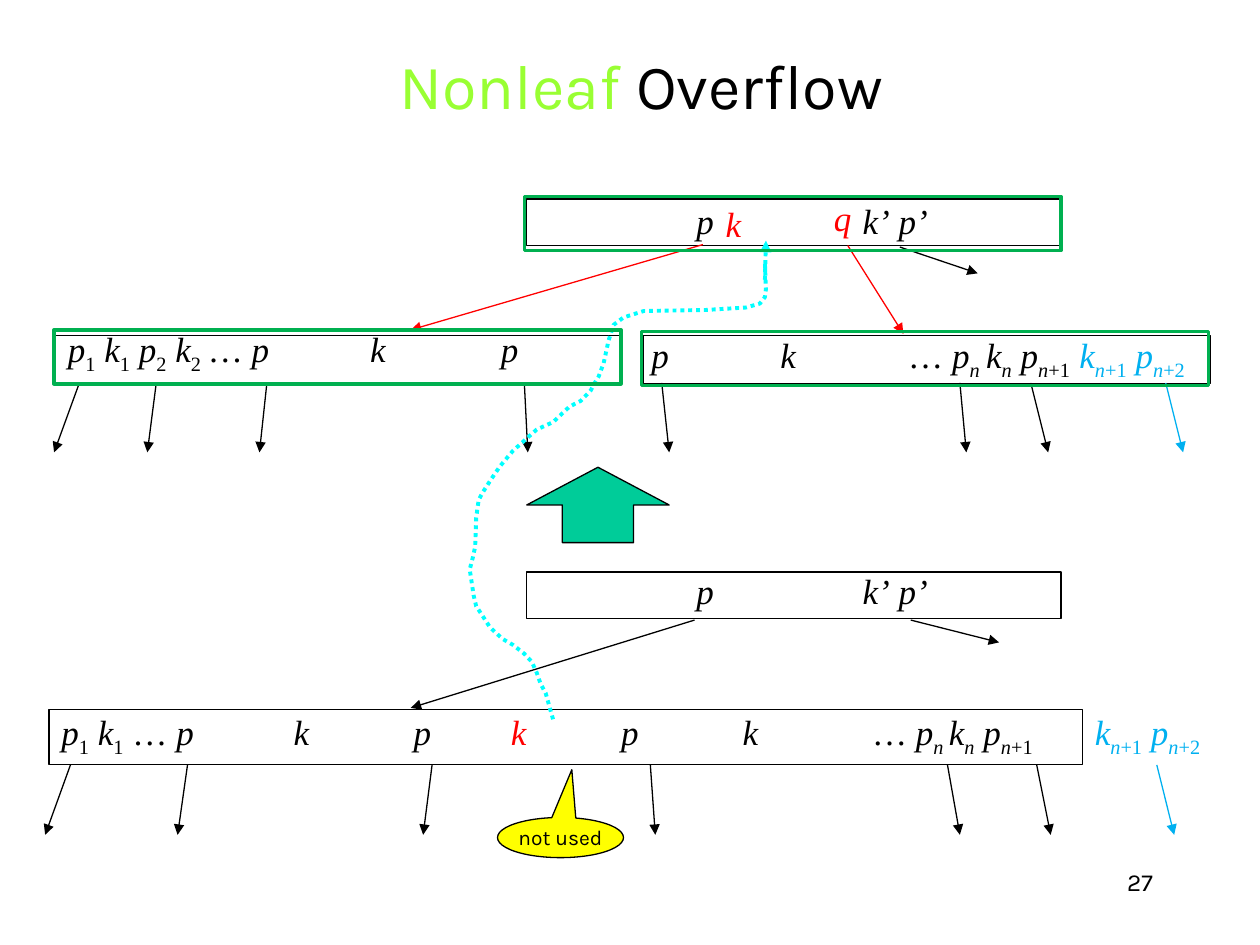
from dataclasses import dataclass
from typing import NamedTuple

from lxml.etree import SubElement
from pptx import Presentation
from pptx.dml.color import RGBColor
from pptx.enum.dml import MSO_LINE
from pptx.enum.shapes import MSO_CONNECTOR, MSO_SHAPE as Shape
from pptx.enum.text import MSO_ANCHOR as Anchor, MSO_AUTO_SIZE, PP_ALIGN as Align
from pptx.oxml.ns import qn
from pptx.util import Cm, Pt


@dataclass(frozen=True)
class Theme:
    ink: str = "000000"
    paper: str = "FFFFFF"
    red: str = "FF0000"
    blue: str = "00B0F0"
    green: str = "00B050"
    lime: str = "99FF33"
    teal: str = "00CC99"
    yellow: str = "FFFF00"
    cyan: str = "00FFFF"
    sans: str = "Karla"
    serif: str = "Times New Roman"
    title: float = 36
    label: float = 20
    number: float = 14
    note: float = 12
    thin: float = 0.75
    frame: float = 2
    dots: float = 2.25


T = Theme()


class Box(NamedTuple):
    x: float
    y: float
    w: float
    h: float


class Keys(NamedTuple):
    """Keys and pointers of a node; tabs mark the wide gaps, _ marks an index."""
    text: str
    color: str = T.ink


class Row(NamedTuple):
    box: Box
    keys: list[Keys]
    stops: tuple[float, ...] = ()
    wrap: bool = True


class Arrow(NamedTuple):
    x1: float
    y1: float
    x2: float
    y2: float
    color: str = T.ink


def style_line(line, color: str, width: float, dotted: bool = False) -> None:
    line.color.rgb = RGBColor.from_string(color)
    line.width = Pt(width)
    if dotted:
        line.dash_style = MSO_LINE.ROUND_DOT


def add_shape(s, kind, box: Box, fill: str = "", line: str = T.ink, width: float = T.thin):
    sp = s.shapes.add_shape(kind, *map(Cm, box))
    sp.shadow.inherit = False
    if fill:
        sp.fill.solid()
        sp.fill.fore_color.rgb = RGBColor.from_string(fill)
    else:
        sp.fill.background()
    style_line(sp.line, line, width)
    return sp


def add_arrow(s, a: Arrow, width: float = T.thin, dotted: bool = False) -> None:
    c = s.shapes.add_connector(MSO_CONNECTOR.STRAIGHT, *map(Cm, a[:4]))
    style_line(c.line, a.color, width, dotted)
    props = c._element.spPr
    SubElement(props.find(qn("a:ln")), qn("a:tailEnd"), type="triangle")
    SubElement(props, qn("a:effectLst"))


def add_run(p, text: str, color: str, size: float, font: str = T.sans,
            italic: bool = False, sub: bool = False) -> None:
    r = p.add_run()
    r.text = text
    r.font.name, r.font.size, r.font.italic = font, Pt(size), italic
    r.font.color.rgb = RGBColor.from_string(color)
    if sub:
        r.font._element.set("baseline", "-25000")


def add_term(p, term: str, color: str) -> None:
    name, _, index = term.partition("_")
    add_run(p, name, color, T.label, T.serif, italic=name != "…")
    letter, plus, digit = index.partition("+")
    for text in filter(None, (letter, plus + digit)):
        add_run(p, text, color, T.label, T.serif, italic=text.isalpha(), sub=True)


def add_text_box(s, box: Box, wrap: bool = True):
    tf = s.shapes.add_textbox(*map(Cm, box)).text_frame
    tf.word_wrap = wrap
    return tf.paragraphs[0]


def add_row(s, row: Row) -> None:
    p = add_text_box(s, row.box, row.wrap)
    if row.stops:
        tabs = SubElement(p._p.get_or_add_pPr(), qn("a:tabLst"))
        for stop in row.stops:
            SubElement(tabs, qn("a:tab"), pos=str(Cm(stop)), algn="l")
    for text, color in row.keys:
        for i, group in enumerate(text.split("\t")):
            if i:
                add_run(p, "\t", color, T.label, T.serif)
            for j, term in enumerate(group.split()):
                if j:
                    add_run(p, " ", color, T.label, T.serif)
                add_term(p, term, color)


def add_curve(s, points: list[tuple[float, float]]) -> None:
    start, *rest = [(Cm(x), Cm(y)) for x, y in points]
    fb = s.shapes.build_freeform(*start)
    fb.add_line_segments(rest, close=False)
    sp = fb.convert_to_shape()
    sp.shadow.inherit = False
    sp.fill.background()
    style_line(sp.line, T.cyan, T.dots, dotted=True)


NODES = [Box(1.09, 6.76, 11.43, 0.97), Box(12.98, 6.76, 11.43, 0.97),
         Box(10.62, 4.01, 10.77, 0.94), Box(10.62, 11.53, 10.77, 0.94),
         Box(0.99, 14.3, 20.83, 1.12)]
FRAMES = [Box(1.09, 6.65, 11.43, 1.09), Box(12.93, 6.68, 11.43, 1.09),
          Box(10.57, 3.96, 10.82, 1.09)]
PARENT = [Keys("p\tk’ p’")]
EXTRA = Keys("k_n+1 p_n+2", T.blue)
ROWS = [
    Row(Box(1.12, 6.48, 10.69, 1.11), [Keys("p_1 k_1 p_2 k_2\t… p\tk\tp")], (2.82, 6.09, 8.73)),
    Row(Box(12.88, 6.6, 12.09, 1.11),
        [Keys("p\tk\t… p_n\tk_n p_n+1\t"), EXTRA], (2.6, 5.18, 6.75, 8.63)),
    Row(Box(13.79, 3.89, 5.31, 1.11), PARENT, (3.35,)),
    Row(Box(13.79, 11.35, 5.31, 1.11), PARENT, (3.35,)),
    Row(Box(14.38, 3.96, 0.89, 1.11), [Keys("k", T.red)]),
    Row(Box(16.56, 3.84, 0.86, 1.11), [Keys("q", T.red)], wrap=False),
    Row(Box(0.99, 14.2, 21.01, 1.11),
        [Keys("p_1 k_1 … p\tk\tp\t"), Keys("k", T.red), Keys("\tp\tk\t… p_n\tk_n p_n+1")],
        (4.68, 7.1, 9.06, 11.28, 13.73, 16.34, 17.89)),
    Row(Box(21.82, 14.2, 2.9, 1.11), [EXTRA], wrap=False),
]
# Child pointers: start and end x; the last of each level is the new one
UPPER = [(1.6, 1.09), (3.15, 2.97), (5.38, 5.23), (10.57, 10.64), (13.34, 13.49),
         (19.35, 19.48), (20.78, 21.13), (23.5, 23.85)]
LOWER = [(1.42, 0.91), (3.78, 3.58), (8.71, 8.53), (13.11, 13.21), (19.1, 19.35),
         (20.9, 21.18), (23.32, 23.67)]
PARENT_ARROWS = [
    Arrow(14.17, 4.93, 8.28, 6.65, T.red), Arrow(17.09, 4.95, 18.21, 6.73, T.red),
    Arrow(18.14, 4.98, 19.71, 5.51), Arrow(14, 12.5, 8.28, 14.27),
    Arrow(18.36, 12.5, 20.14, 12.95)]
KEY_ROUTE = [
    (11.15, 14.5), (11.07, 14.22), (11, 13.97), (10.9, 13.79), (10.82, 13.56), (10.72, 13.34),
    (10.57, 13.18), (10.34, 13), (10.13, 12.88), (9.88, 12.65), (9.7, 12.37), (9.6, 12.22),
    (9.55, 12.01), (9.47, 11.48), (9.53, 11.25), (9.58, 11.02), (9.6, 10.44), (9.65, 10.08),
    (9.73, 9.93), (9.91, 9.65), (10.08, 9.4), (10.34, 9.09), (10.62, 8.84), (10.82, 8.66),
    (11.15, 8.51), (11.48, 8.2), (11.71, 8.08), (11.91, 7.87), (11.99, 7.72), (12.07, 7.59),
    (12.17, 7.32), (12.27, 6.86), (12.32, 6.71), (12.37, 6.55), (12.57, 6.4), (12.98, 6.27),
    (14.22, 6.25), (15.04, 6.2), (15.32, 6.12), (15.42, 5.99), (15.44, 5.84), (15.42, 5.28)]


def main() -> None:
    prs = Presentation()
    prs.slide_width, prs.slide_height = Cm(25.4), Cm(19.05)
    s = prs.slides.add_slide(prs.slide_layouts[5])

    # Title
    title = s.shapes.title
    title.left, title.top, title.width, title.height = map(Cm, (7.8, 0.66, 10.57, 1.65))
    tf = title.text_frame
    tf.auto_size, tf.word_wrap = MSO_AUTO_SIZE.NONE, True
    tf.vertical_anchor, tf.margin_top = Anchor.TOP, Cm(0.28)
    p = tf.paragraphs[0]
    p.alignment = Align.LEFT
    add_run(p, "Nonleaf", T.lime, T.title)
    add_run(p, " Overflow", T.ink, T.title)

    # Nodes with their keys and pointers
    for box in NODES:
        add_shape(s, Shape.RECTANGLE, box, T.paper)
    for row in ROWS:
        add_row(s, row)

    # Pointers to child nodes
    for xs, y1, y2 in ((UPPER, 7.72, 9.12), (LOWER, 15.42, 16.83)):
        for x1, x2 in xs:
            color = T.blue if (x1, x2) == xs[-1] else T.ink
            add_arrow(s, Arrow(x1, y1, x2, y2, color))
    for arrow in PARENT_ARROWS:
        add_arrow(s, arrow)

    # Split step and the way of the middle key
    add_shape(s, Shape.UP_ARROW, Box(10.62, 9.42, 2.87, 1.52), T.teal)
    add_curve(s, KEY_ROUTE)
    add_arrow(s, Arrow(15.42, 5.64, 15.44, 4.85, T.cyan), T.dots, dotted=True)
    for box in FRAMES:
        add_shape(s, Shape.RECTANGLE, box, line=T.green, width=T.frame)

    # Callout
    sp = add_shape(s, Shape.OVAL_CALLOUT, Box(10.03, 16.48, 2.54, 0.81), T.yellow)
    sp.adjustments[0], sp.adjustments[1] = 0.09, -1.69
    tf = sp.text_frame
    tf.word_wrap, tf.vertical_anchor = False, Anchor.MIDDLE
    tf.paragraphs[0].alignment = Align.CENTER
    add_run(tf.paragraphs[0], "not used", T.ink, T.note)

    # Slide number
    p = add_text_box(s, Box(18.21, 17.35, 5.28, 1.27))
    p.alignment = Align.RIGHT
    add_run(p, "27", T.ink, T.number)

    prs.save("out.pptx")


if __name__ == "__main__":
    main()
